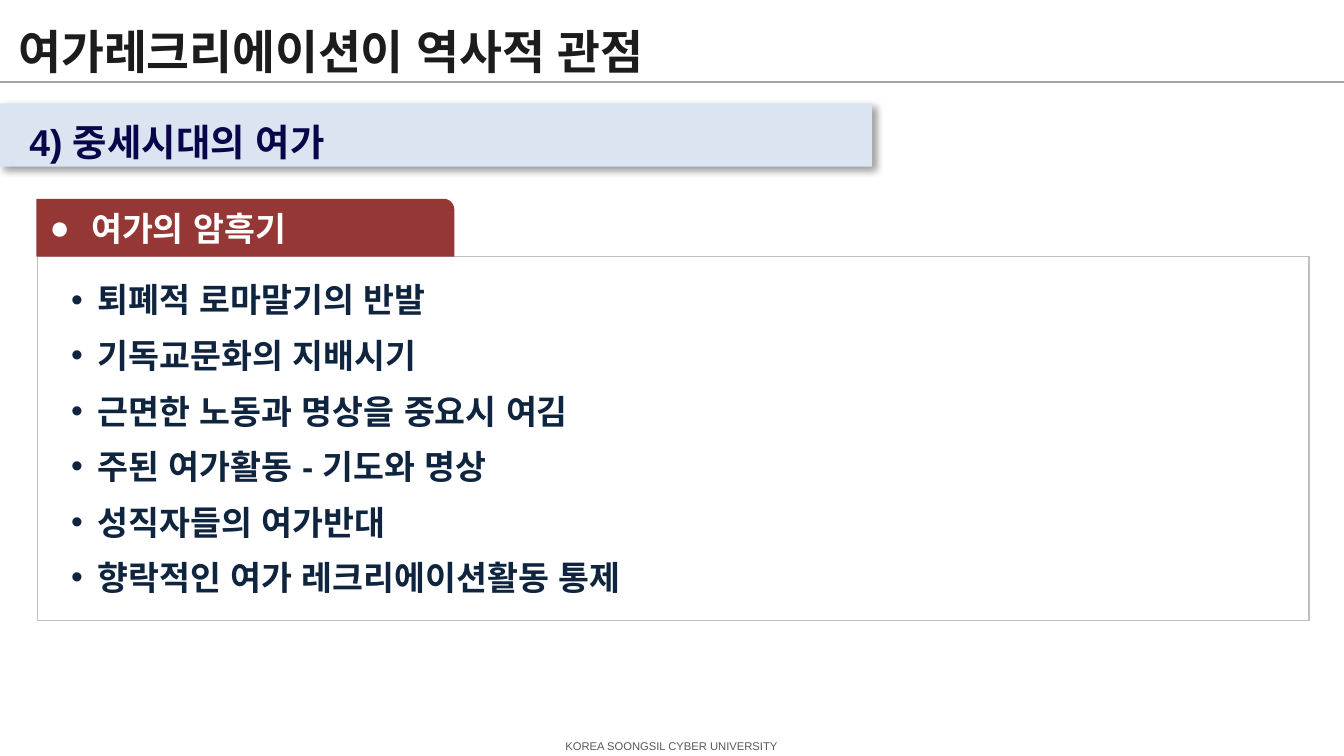
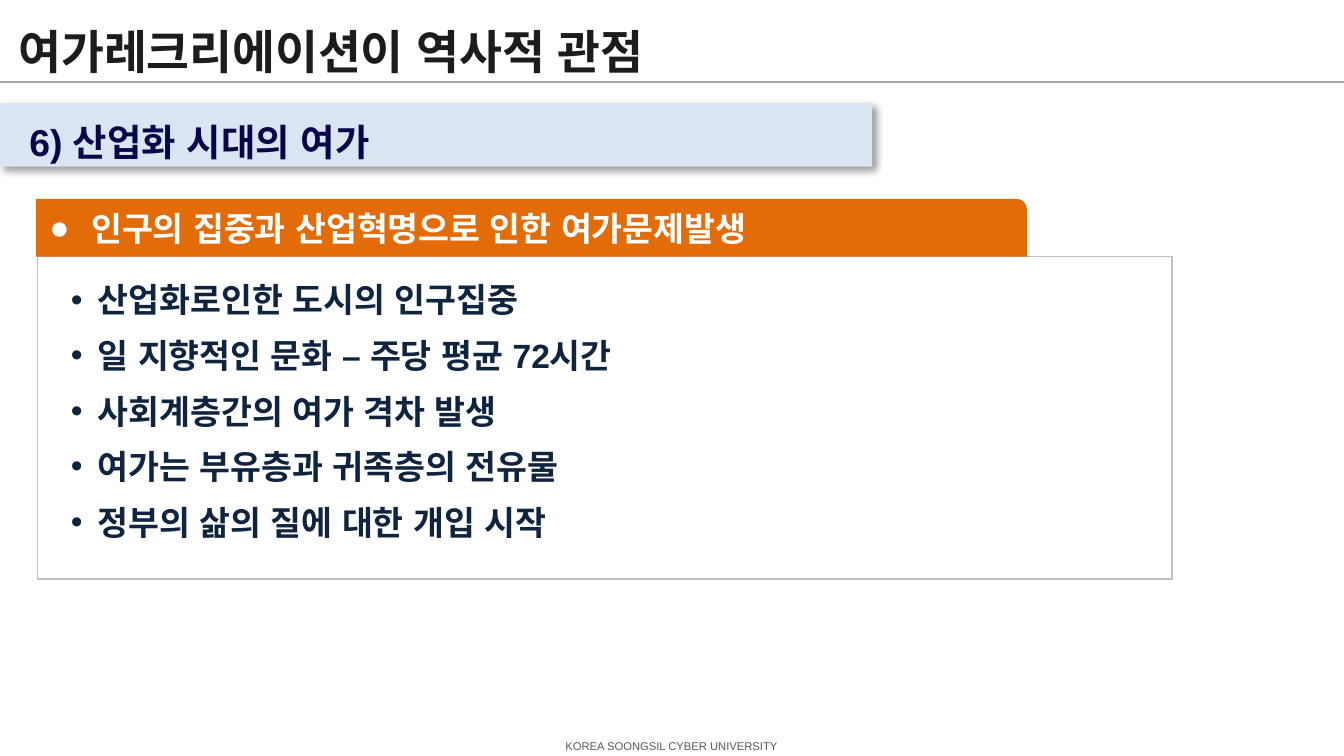
import lxml.etree
import pptx
import pptx.dml.color
import pptx.enum.lang
import pptx.enum.shapes
import pptx.enum.text
import pptx.oxml.ns
import pptx.util

Inches = pptx.util.Inches
Shapes = pptx.enum.shapes.MSO_SHAPE
Anchor = pptx.enum.text.MSO_ANCHOR
Align = pptx.enum.text.PP_ALIGN

FONT = "Arial"
WHITE = "FFFFFF"
TITLE_COLOR = "1D1C1C"
RULE_COLOR = "A5A5A5"
FOOTER_COLOR = "595959"
BAND_COLOR = "DAE5F1"
HEADING_COLOR = "08054B"
BODY_COLOR = "0F243E"
FRAME_COLOR = "BFBFBF"

TITLE = "여가레크리에이션이 역사적 관점"
FOOTER = "KOREA SOONGSIL CYBER UNIVERSITY"
TOPICS = [
    {
        "heading": "4) 중세시대의 여가",
        "tab": ("여가의 암흑기", 3.11, "953734"),
        "frame": (9.46, 2.71),
        "body": (9.22, 2.5),
        "points": [
            "퇴폐적 로마말기의 반발",
            "기독교문화의 지배시기",
            "근면한 노동과 명상을 중요시 여김",
            "주된 여가활동 - 기도와 명상",
            "성직자들의 여가반대",
            "향락적인 여가 레크리에이션활동 통제",
        ],
    },
    {
        "heading": "6) 산업화 시대의 여가",
        "tab": ("인구의 집중과 산업혁명으로 인한 여가문제발생", 7.37, "E36C09"),
        "frame": (8.44, 2.4),
        "body": (8.23, 2.1),
        "points": [
            "산업화로인한 도시의 인구집중",
            "일 지향적인 문화 – 주당 평균 72시간",
            "사회계층간의 여가 격차 발생",
            "여가는 부유층과 귀족층의 전유물",
            "정부의 삶의 질에 대한 개입 시작",
        ],
    },
]


def rgb(color):
    """Turn a hex string into a colour."""
    return pptx.dml.color.RGBColor.from_string(color)


def add_element(parent, tag, **attributes):
    """Append a DrawingML element and return it."""
    name = pptx.oxml.ns.qn(f"a:{tag}")
    return lxml.etree.SubElement(parent, name, attributes)


def add_bullet(paragraph, character, color, indent):
    """Give a paragraph a coloured bullet with a hanging indent."""
    properties = paragraph._p.get_or_add_pPr()
    properties.set("marL", str(Inches(indent)))
    properties.set("indent", str(-Inches(indent)))
    add_element(add_element(properties, "buClr"), "srgbClr", val=color)
    add_element(properties, "buFont", typeface=FONT)
    add_element(properties, "buChar", char=character)


def write_text(shape, lines, size, color, bold=True, anchor=Anchor.TOP,
               align=Align.LEFT, line_spacing=None, space_before=0, bullet=None):
    """Fill a shape with evenly formatted paragraphs."""
    frame = shape.text_frame
    frame.word_wrap = True
    frame.vertical_anchor = anchor
    frame.text = "\n".join(lines)
    for index, paragraph in enumerate(frame.paragraphs):
        paragraph.alignment = align
        if line_spacing:
            paragraph.line_spacing = line_spacing
        if index and space_before:
            paragraph.space_before = pptx.util.Pt(space_before)
        if bullet:
            character, indent = bullet
            add_bullet(paragraph, character, color, indent)
        for run in paragraph.runs:
            run.font.size = pptx.util.Pt(size)
            run.font.bold = bold
            run.font.name = FONT
            run.font.color.rgb = rgb(color)
            run.font.language_id = pptx.enum.lang.MSO_LANGUAGE_ID.KOREAN
            add_element(run._r.get_or_add_rPr(), "ea", typeface=FONT)


def add_text(slide, box, lines, size, color, **options):
    """Add a text box at the given left, top, width and height."""
    shape = slide.shapes.add_textbox(*map(Inches, box))
    write_text(shape, lines, size, color, **options)


def add_block(slide, kind, box, fill, line=None):
    """Add a filled preset shape without a shadow."""
    shape = slide.shapes.add_shape(kind, *map(Inches, box))
    shape.shadow.inherit = False
    shape.fill.solid()
    shape.fill.fore_color.rgb = rgb(fill)
    if line:
        shape.line.color.rgb = rgb(line)
        shape.line.width = pptx.util.Pt(0.75)
    else:
        shape.line.fill.background()
    return shape


def add_rule(slide, top):
    """Draw a thin line across the slide."""
    rule = slide.shapes.add_connector(
        pptx.enum.shapes.MSO_CONNECTOR.STRAIGHT,
        Inches(0), Inches(top), Inches(10), Inches(top))
    rule.line.color.rgb = rgb(RULE_COLOR)
    rule.line.width = pptx.util.Pt(0.75)
    add_element(rule._element.spPr, "effectLst")


def add_heading_band(slide, heading):
    """Add the shadowed band and its numbered heading."""
    band = add_block(slide, Shapes.RECTANGLE, (0, 0.77, 6.49, 0.47), BAND_COLOR)
    effects = band._element.spPr.find(pptx.oxml.ns.qn("a:effectLst"))
    shadow = add_element(
        effects, "outerShdw", blurRad=str(pptx.util.Pt(4)),
        dist=str(pptx.util.Pt(3)), dir=str(45 * 60000), algn="tl", rotWithShape="0")
    add_element(add_element(shadow, "srgbClr", val="000000"), "alpha", val="40000")
    add_text(slide, (0.12, 0.77, 6.26, 0.47), [heading], 20, HEADING_COLOR,
             line_spacing=1.2)


def add_tab(slide, label, width, color):
    """Add the coloured tab above the content frame."""
    tab = add_block(slide, Shapes.ROUND_1_RECTANGLE, (0.27, 1.48, width, 0.43), color)
    tab.adjustments[0] = 0.18
    write_text(tab, [label], 18, WHITE, anchor=Anchor.MIDDLE, bullet=("●", 0.31))


def add_page_furniture(slide):
    """Add the rule, footer and title that every slide carries."""
    add_rule(slide, 0.61)
    add_text(slide, (3.46, 5.45, 3.07, 0.2), [FOOTER], 6, FOOTER_COLOR,
             bold=False, align=Align.CENTER)
    add_text(slide, (0.04, 0.14, 8.35, 0.47), [TITLE], 25, TITLE_COLOR,
             anchor=Anchor.MIDDLE)


def add_topic_slide(presentation, topic):
    """Build one slide about the leisure of an era."""
    slide = presentation.slides.add_slide(presentation.slide_layouts[6])
    add_page_furniture(slide)
    add_heading_band(slide, topic["heading"])
    add_block(slide, Shapes.RECTANGLE, (0.28, 1.91, *topic["frame"]), WHITE, FRAME_COLOR)
    add_text(slide, (0.43, 2, *topic["body"]), topic["points"], 18, BODY_COLOR,
             line_spacing=1.1, space_before=6, bullet=("•", 0.2))
    add_tab(slide, *topic["tab"])


def main():
    """Build and save the presentation."""
    presentation = pptx.Presentation()
    presentation.slide_width = Inches(10)
    presentation.slide_height = Inches(10 * 9 / 16)
    for topic in TOPICS:
        add_topic_slide(presentation, topic)
    presentation.save("out.pptx")


if __name__ == "__main__":
    main()
